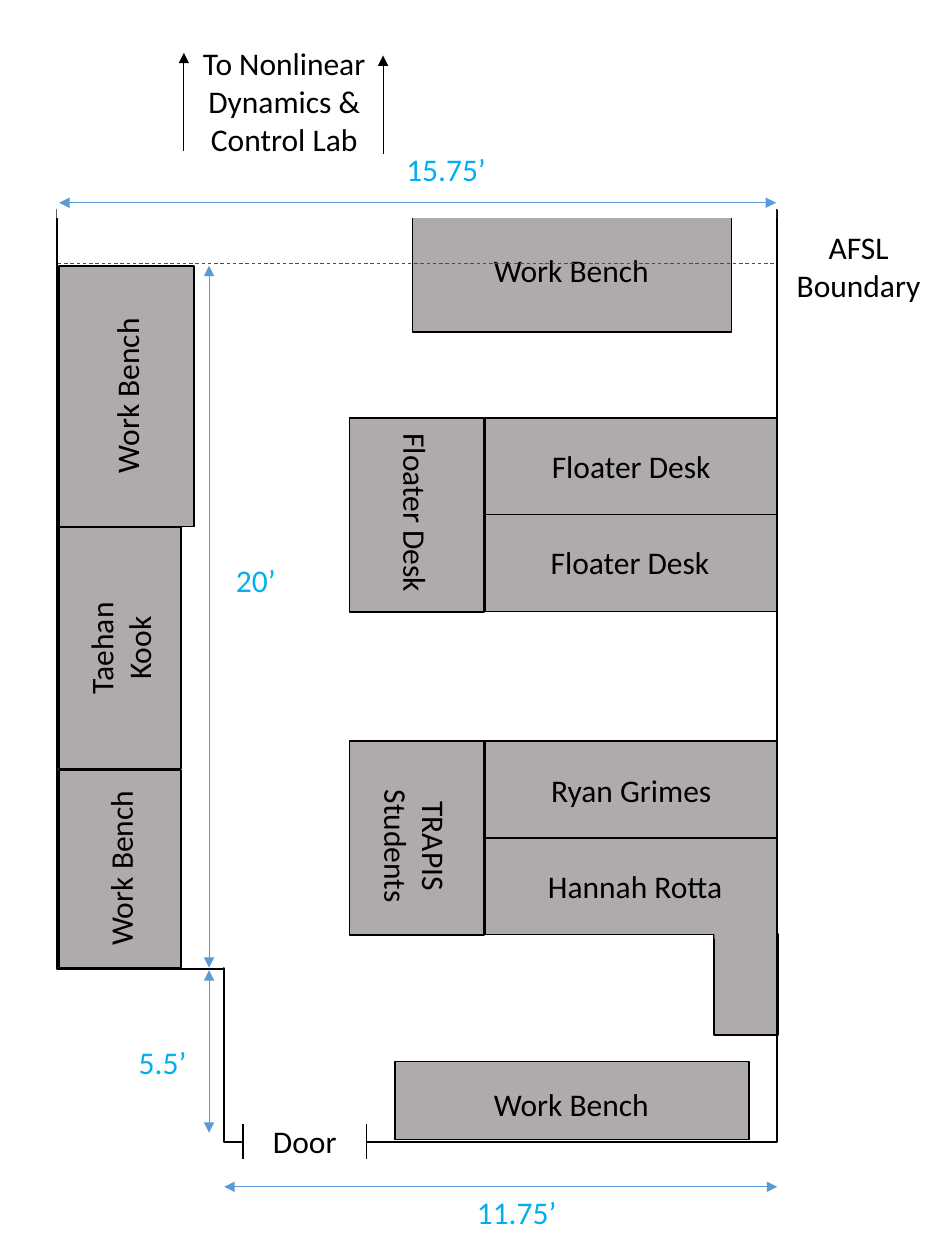
from lxml.etree import SubElement
from pptx import Presentation
from pptx.dml.color import RGBColor
from pptx.enum.dml import MSO_LINE
from pptx.enum.shapes import MSO_CONNECTOR, MSO_SHAPE
from pptx.enum.text import MSO_AUTO_SIZE, PP_ALIGN
from pptx.oxml.ns import qn
from pptx.util import Pt

THEME = {
    "font": "Calibri", "size": 18, "thick": 1, "thin": 0.5,
    "ink": "000000", "desk": "AFABAB", "paper": "FFFFFF",
    "arrow": "5B9BD5", "dimension": "00B0F0", "boundary": "FF0000",
}
LINE_HEIGHTS = {1: 28.8, 2: 51.1, 3: 72.7}

# Rectangles: left, top, width, height
LEFT_BENCHES = [(33.8, 439.9, 69.8, 113), (33.8, 301, 69.8, 138.2), (33.8, 151.9, 77, 149)]
DOOR_BENCH = (225.7, 606.6, 202.3, 44.6)
TOP_BENCH = (235.8, 119.2, 182.2, 70.6)
ROOMS = [(32.4, 120.2, 411.8, 433.4), (128.2, 553, 316, 99.4)]
OPENINGS = [(128.2, 547.9, 315.4, 7.2), (138.2, 645.8, 71.3, 10.8), (32.4, 117.4, 411.1, 7.2)]
CORNER_DESK = (407.9, 533.9, 36.7, 57.6)
CORNER_JOINT = (408.2, 529.9, 35.3, 6.5)
CLUSTER_TOPS = [238.7, 423.3]
SIDE_DESK = (199.8, 77, 110.9)  # left, width, height
LONG_DESK = (277, 167, 55.4)

# Lines: start x, start y, end x, end y
WALLS = [
    (444.2, 602.6, 444.2, 488.9), (128.2, 617, 128.2, 553),
    (139, 662.4, 139, 642.2), (209.5, 662.4, 209.5, 642.2),
]
EXIT_ARROWS = [(105.1, 86.4, 105.1, 30.2), (218.9, 87.8, 218.9, 31.7)]
DIMENSION_ARROWS = [
    (128.2, 678.2, 444.2, 678.2), (33.8, 115.9, 443.5, 115.9),
    (119.5, 554.4, 119.5, 647.3), (119.5, 151.9, 119.5, 553),
]
BOUNDARY = (33.1, 150.5, 443.5, 150.5)

# Labels: text, left, top, width, number of lines, rotation
LABELS = [
    ("Work Bench", 16.6, 481.7, 104.4, 1, 270),
    ("Work Bench", 20.2, 211.7, 104.4, 1, 270),
    ("Work Bench", 274.3, 139.7, 104.4, 1, 0),
    ("Work Bench", 274.3, 616.3, 104.4, 1, 0),
    ("Taehan Kook", 16.6, 344.9, 104.4, 2, 270),
    ("Floater Desk", 293, 252, 135.4, 1, 0),
    ("Floater Desk", 292.3, 306.7, 135.4, 1, 0),
    ("Floater Desk", 169.9, 278.6, 135.4, 1, 90),
    ("Ryan Grimes", 293, 437, 135.4, 1, 0),
    ("Hannah Rotta", 295.2, 491.8, 135.4, 1, 0),
    ("TRAPIS Students", 184.3, 457.9, 105.8, 2, 90),
    ("Door", 145.4, 637.9, 57.6, 1, 0),
    ("To Nonlinear Dynamics & Control Lab", 92.2, 21.6, 140.4, 3, 0),
    ("AFSL Boundary", 440.6, 126.7, 100.1, 2, 0),
]
DIMENSIONS = [
    ("11.75’", 263.5, 678.2, 63.4, 1, 0),
    ("15.75’", 223.2, 82.1, 63.4, 1, 0),
    ("5.5’", 61.2, 592.6, 63.4, 1, 0),
    ("20’", 114.5, 316.8, 63.4, 1, 0),
]


def color(name):
    return RGBColor.from_string(THEME[name])


def add_rectangle(slide, box, fill=None, outline="ink"):
    shape = slide.shapes.add_shape(MSO_SHAPE.RECTANGLE, *map(Pt, box))
    shape.shadow.inherit = False
    if fill:
        shape.fill.solid()
        shape.fill.fore_color.rgb = color(fill)
    else:
        shape.fill.background()
    if outline:
        shape.line.color.rgb = color(outline)
        shape.line.width = Pt(THEME["thick"])
    else:
        shape.line.fill.background()


def add_line(slide, ends, stroke="ink", width="thin", arrows=(), dash=None):
    """Arrows names the ends with a head: headEnd is the start, tailEnd the end."""
    line = slide.shapes.add_connector(MSO_CONNECTOR.STRAIGHT, *map(Pt, ends))
    line.line.color.rgb = color(stroke)
    line.line.width = Pt(THEME[width])
    if dash:
        line.line.dash_style = dash
    for end in arrows:
        SubElement(line.line._get_or_add_ln(), qn(f"a:{end}"), type="triangle")
    SubElement(line._element.spPr, qn("a:effectLst"))


def add_text(slide, text, left, top, width, lines=1, rotation=0, ink="ink"):
    box = slide.shapes.add_textbox(Pt(left), Pt(top), Pt(width), Pt(LINE_HEIGHTS[lines]))
    box.rotation = rotation
    frame = box.text_frame
    frame.word_wrap = True
    frame.auto_size = MSO_AUTO_SIZE.SHAPE_TO_FIT_TEXT
    paragraph = frame.paragraphs[0]
    paragraph.text = text
    paragraph.alignment = PP_ALIGN.CENTER
    paragraph.font.name = THEME["font"]
    paragraph.font.size = Pt(THEME["size"])
    paragraph.font.color.rgb = color(ink)


def add_cluster(slide, top):
    left, width, height = SIDE_DESK
    add_rectangle(slide, (left, top, width, height), "desk")
    left, width, height = LONG_DESK
    for row in range(2):
        add_rectangle(slide, (left, top + row * height, width, height), "desk")


def main():
    presentation = Presentation()
    presentation.slide_width, presentation.slide_height = Pt(540), Pt(720)
    slide = presentation.slides.add_slide(presentation.slide_layouts[6])

    for bench in [*LEFT_BENCHES, DOOR_BENCH]:
        add_rectangle(slide, bench, "desk")
    for room in ROOMS:
        add_rectangle(slide, room)
    add_rectangle(slide, TOP_BENCH, "desk")
    for opening in OPENINGS:
        add_rectangle(slide, opening, "paper", outline=None)
    add_rectangle(slide, CORNER_DESK, "desk")
    for top in CLUSTER_TOPS:
        add_cluster(slide, top)
    add_rectangle(slide, CORNER_JOINT, "desk", outline=None)

    for wall in WALLS:
        add_line(slide, wall, width="thick")
    for label in LABELS:
        add_text(slide, *label)
    for arrow in EXIT_ARROWS:
        add_line(slide, arrow, arrows=["tailEnd"])
    for arrow in DIMENSION_ARROWS:
        add_line(slide, arrow, "arrow", arrows=["headEnd", "tailEnd"])
    for dimension in DIMENSIONS:
        add_text(slide, *dimension, ink="dimension")
    add_line(slide, BOUNDARY, "boundary", dash=MSO_LINE.DASH)
    presentation.save("out.pptx")


if __name__ == "__main__":
    main()
